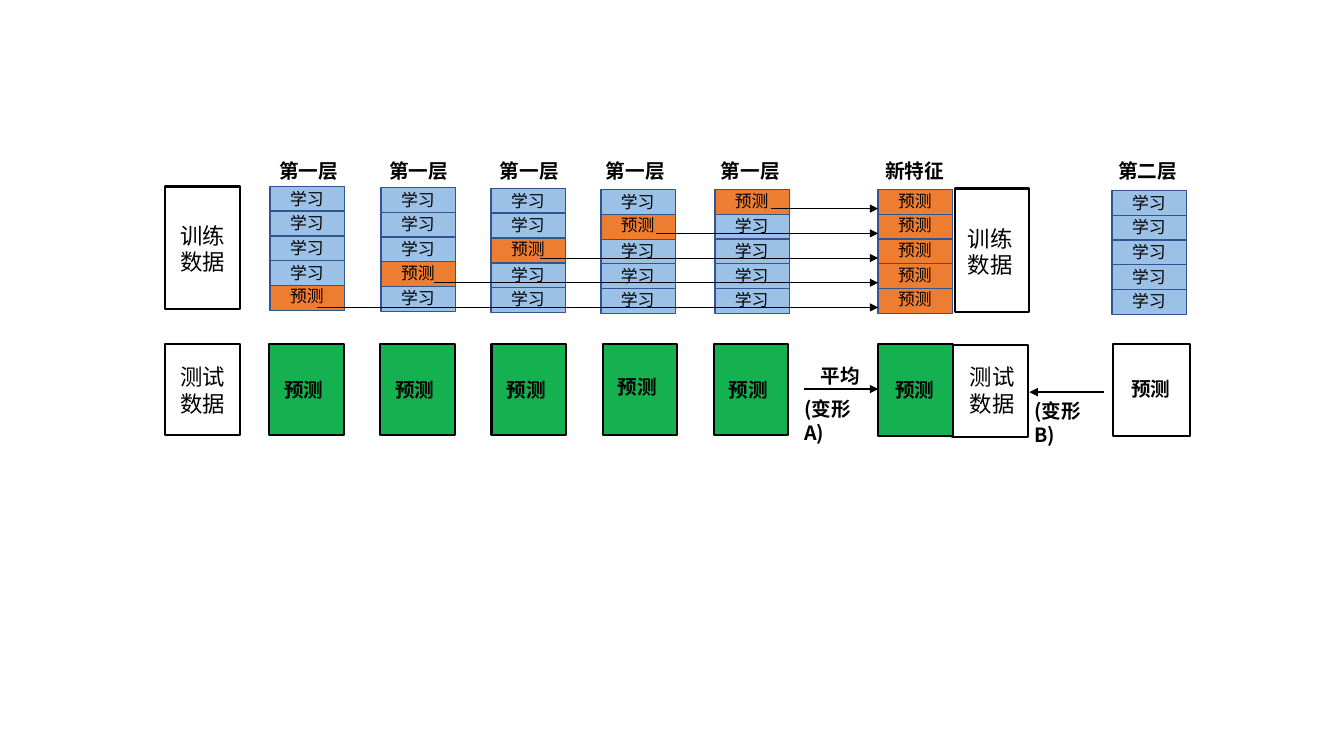
from lxml import etree
from pptx import Presentation
from pptx.dml.color import RGBColor
from pptx.enum import shapes, text
from pptx.oxml.ns import qn
from pptx.util import Inches, Pt

FONT = "Noto Sans CJK SC"
COLORS = {"black": "000000", "white": "FFFFFF", "green": "15B150",
          "blue": "9BC1E6", "orange": "ED7D31", "edge": "325491"}
C = {name: RGBColor.from_string(value) for name, value in COLORS.items()}

prs = Presentation()
prs.slide_width, prs.slide_height = Inches(13.33), Inches(7.5)
s = prs.slides.add_slide(prs.slide_layouts[6])


def box(x, y, w, h, fill, edge="black", width=1.5):
    sp = s.shapes.add_shape(shapes.MSO_SHAPE.RECTANGLE,
                            Inches(x), Inches(y), Inches(w), Inches(h))
    sp.shadow.inherit = False
    sp.fill.solid()
    sp.fill.fore_color.rgb = C[fill]
    sp.line.color.rgb = C[edge]
    sp.line.width = Pt(width)


def label(x, y, w, h, words, size, bold=False, align=text.PP_ALIGN.LEFT):
    tf = s.shapes.add_textbox(Inches(x), Inches(y), Inches(w), Inches(h)).text_frame
    tf.word_wrap = True
    tf.auto_size = text.MSO_AUTO_SIZE.SHAPE_TO_FIT_TEXT
    tf.text = words
    for p in tf.paragraphs:
        p.alignment = align
        p.font.size, p.font.bold, p.font.name = Pt(size), bold, FONT
        p.font.color.rgb = C["black"]
        # Chinese glyphs take the East Asian typeface
        latin = p._p.find(".//" + qn("a:latin"))
        latin.addnext(latin.makeelement(qn("a:ea"), {"typeface": FONT}))


# Fold columns: left edge, top, heading, heading left, rows to predict
PITCH, CELL_W, CELL_H = 0.245, 0.74, 0.25
columns = [
    (2.68, 1.85, "第一层", 2.67, [4]),
    (3.78, 1.86, "第一层", 3.76, [3]),
    (4.87, 1.87, "第一层", 4.86, [2]),
    (5.96, 1.88, "第一层", 5.91, [1]),
    (7.09, 1.88, "第一层", 7.05, [0]),
    (8.71, 1.88, "新特征", 8.68, range(5)),
    (11.03, 1.89, "第二层", 10.99, []),
]
for x, top, heading, heading_x, predicted in columns:
    label(heading_x, 1.53, 1.05, 0.34, heading, 14, bold=True)
    # Predicted cells lie over the learning cells
    for row in sorted(range(5), key=lambda r: r in predicted):
        fill = "orange" if row in predicted else "blue"
        box(x, top + row * PITCH, CELL_W, CELL_H, fill, "edge", 1)
    for row in range(5):
        words, lift = ("预测", 0.04) if row in predicted else ("学习", 0.03)
        label(x + 0.1, top + row * PITCH - lift, 0.55, 0.3, words, 12)

# Training and test data: box, then text position
for x, y, w, h, text_x, text_y, words in [
        (1.64, 1.85, 0.74, 1.22, 1.64, 2.15, "训练\n数据"),
        (1.64, 3.41, 0.74, 0.91, 1.64, 3.55, "测试\n数据"),
        (9.47, 1.87, 0.74, 1.23, 9.45, 2.18, "训练\n数据"),
        (9.44, 3.42, 0.76, 0.92, 9.47, 3.55, "测试\n数据")]:
    box(x, y, w, h, "white")
    label(text_x, text_y, 0.74, 0.64, words, 16, align=text.PP_ALIGN.CENTER)

# Test predictions
for i in range(5):
    x = 2.67 + i * 1.1025
    box(x, 3.41, CELL_W, 0.91, "green")
    label(x + 0.05, 3.67 if i == 3 else 3.7, 0.65, 0.34, "预测", 14, bold=True)
box(8.71, 3.41, CELL_W, 0.92, "green")
label(8.78, 3.7, 0.65, 0.34, "预测", 14, bold=True)
box(11.04, 3.41, 0.76, 0.92, "white")
label(11.12, 3.69, 0.65, 0.34, "预测", 14, bold=True)

# Arrow captions
label(8.04, 3.56, 0.59, 0.34, "平均", 14, bold=True)
label(7.88, 3.89, 0.79, 0.34, "(变形A)", 14, bold=True)
label(10.16, 3.91, 0.79, 0.34, "(变形B)", 14, bold=True)

# Arrows: fold predictions to new features, then averaging and variant B
arrows = [(x, 2.07 + i * PITCH, 8.71, 0.5)
          for i, x in enumerate([7.65, 6.51, 5.36, 4.3, 3.14])]
arrows += [(7.97, 3.86, 8.71, 1), (10.95, 3.89, 10.21, 1)]
for x1, y, x2, width in arrows:
    c = s.shapes.add_connector(shapes.MSO_CONNECTOR.STRAIGHT,
                               Inches(x1), Inches(y), Inches(x2), Inches(y))
    c.line.color.rgb = C["black"]
    c.line.width = Pt(width)
    etree.SubElement(c.line._get_or_add_ln(), qn("a:tailEnd"), type="triangle")
    etree.SubElement(c._element.spPr, qn("a:effectLst"))

prs.save("out.pptx")
